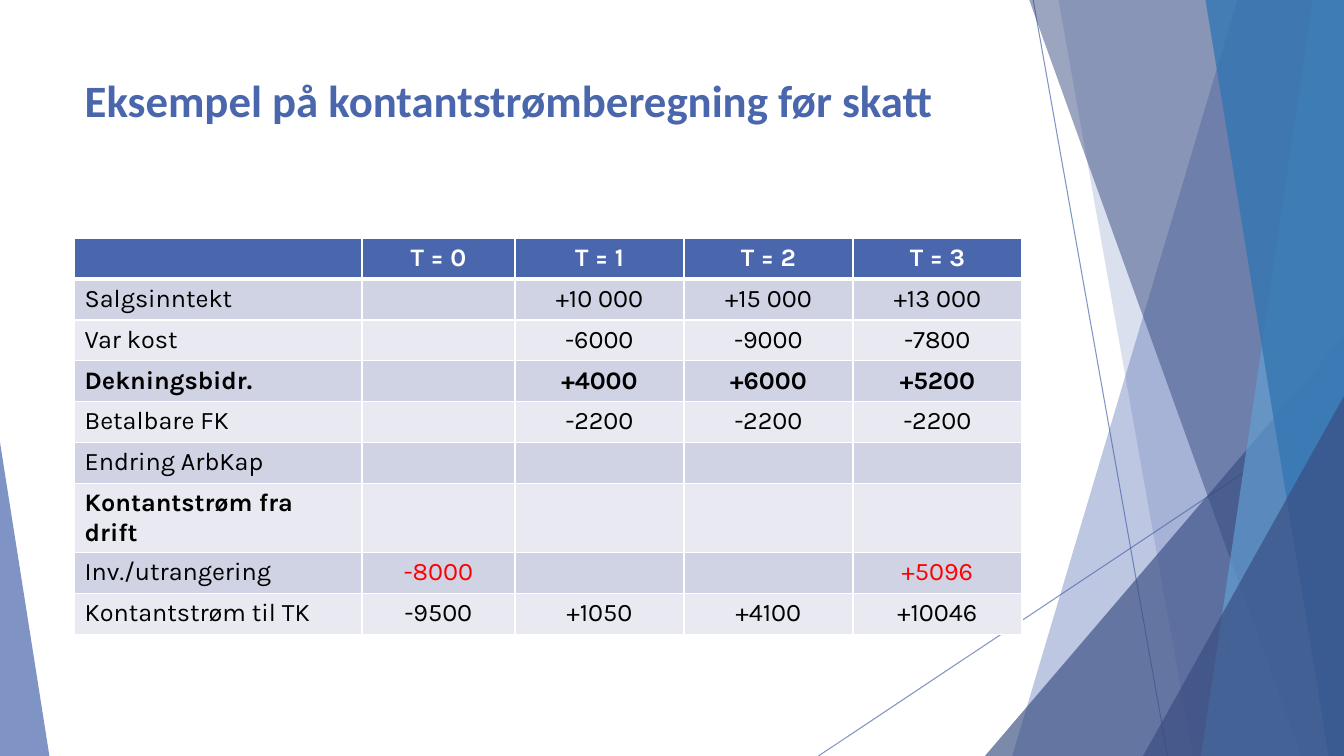
from pptx import Presentation
from pptx.dml.color import RGBColor
from pptx.enum.shapes import MSO_CONNECTOR, MSO_SHAPE
from pptx.enum.text import MSO_ANCHOR, MSO_AUTO_SIZE, PP_ALIGN
from pptx.oxml.ns import qn
from pptx.util import Pt
from lxml.etree import SubElement

WIDE, HIGH = 960, 540
HUES = {
    "blue": "4A66AC", "navy": "384C81", "sky": "629DD1", "teal": "3477B2",
    "dark": "D0D3E3", "pale": "E9EAF1", "white": "FFFFFF",
    "black": "000000", "red": "FF0000",
}
COLS = [205.3, 109.3, 120.7, 120.7, 120.7]
ROWS = [
    ["", "T = 0", "T = 1", "T = 2", "T = 3"],
    ["Salgsinntekt", "", "+10 000", "+15 000", "+13 000"],
    ["Var kost", "", "-6000", "-9000", "-7800"],
    ["Dekningsbidr.", "", "+4000", "+6000", "+5200"],
    ["Betalbare FK", "", "-2200", "-2200", "-2200"],
    ["Endring ArbKap", "", "", "", ""],
    ["Kontantstrøm fra drift", "", "", "", ""],
    ["Inv./utrangering", "-8000", "", "", "+5096"],
    ["Kontantstrøm til TK", "-9500", "+1050", "+4100", "+10046"],
]
BOLD = {0, 3, 6}
RED = {"-8000", "+5096"}


def write(frame, text, font="Karla", size=18, hue="black", bold=False, align=PP_ALIGN.LEFT):
    para = frame.paragraphs[0]
    para.alignment = align
    run = para.add_run()
    run.text = text
    run.font.name = font
    run.font.size = Pt(size)
    run.font.bold = bold
    run.font.color.rgb = RGBColor.from_string(HUES[hue])


class Deck:
    def __init__(self):
        self.file = Presentation()
        self.file.slide_width, self.file.slide_height = Pt(WIDE), Pt(HIGH)
        self.slide = self.file.slides.add_slide(self.file.slide_layouts[5])
        self.shapes = self.slide.shapes

    def paint(self, fill, hue, alpha):
        fill.solid()
        fill.fore_color.rgb = RGBColor.from_string(HUES[hue])
        for tint in fill.fore_color._xFill.iter(qn("a:srgbClr")):
            SubElement(tint, qn("a:alpha"), val=str(alpha * 1000))

    def finish(self, shape, hue, alpha):
        shape.shadow.inherit = False
        shape.line.fill.background()
        self.paint(shape.fill, hue, alpha)

    def line(self, *ends):
        line = self.shapes.add_connector(MSO_CONNECTOR.STRAIGHT, *map(Pt, ends))
        line.line.width = Pt(0.75)
        self.paint(line.line.fill, "blue", 70)
        SubElement(line.element.spPr, qn("a:effectLst"))

    def band(self, top, foot, hue, alpha):
        path = self.shapes.build_freeform(Pt(top), Pt(-0.6), scale=1.0)
        path.add_line_segments([(Pt(x), Pt(y)) for x, y in
                                [(WIDE, -0.6), (WIDE, HIGH), (foot, HIGH)]])
        self.finish(path.convert_to_shape(), hue, alpha)

    def wedge(self, left, wide, high, tip, hue, alpha):
        shape = self.shapes.add_shape(MSO_SHAPE.ISOSCELES_TRIANGLE, Pt(left), Pt(HIGH - high),
                                      Pt(wide), Pt(high))
        shape.adjustments[0] = tip
        self.finish(shape, hue, alpha)

    def title(self, text):
        head = self.shapes.title
        head.left, head.top, head.width, head.height = map(Pt, (53.3, 48, 676.8, 104))
        frame = head.text_frame
        frame.word_wrap = True
        frame.auto_size = MSO_AUTO_SIZE.NONE
        frame.vertical_anchor = MSO_ANCHOR.TOP
        write(frame, text, font="Calibri", size=32, hue="blue", bold=True)
        head.element.getparent().append(head.element)

    def edge(self, cell, side, width):
        line = SubElement(cell._tc.get_or_add_tcPr(), qn("a:ln" + side), w=str(Pt(width)))
        SubElement(SubElement(line, qn("a:solidFill")), qn("a:srgbClr"), val=HUES["white"])

    def table(self, rows, cols):
        grid = self.shapes.add_table(len(rows), len(cols), Pt(53.3), Pt(170.2),
                                     Pt(sum(cols)), Pt(29.2 * len(rows))).table
        for col, width in zip(grid.columns, cols):
            col.width = Pt(width)
        for i, row in enumerate(rows):
            grid.rows[i].height = Pt(29.2)
            for j, text in enumerate(row):
                cell = grid.cell(i, j)
                for side in "LRTB":
                    thick = (i, side) in [(0, "B"), (1, "T")]
                    self.edge(cell, side, 3 if thick else 1)
                cell.fill.solid()
                back = "blue" if i == 0 else "dark" if i % 2 else "pale"
                cell.fill.fore_color.rgb = RGBColor.from_string(HUES[back])
                if text:
                    hue = "white" if i == 0 else "red" if text in RED else "black"
                    write(cell.text_frame, text, hue=hue, bold=i in BOLD,
                          align=PP_ALIGN.CENTER if j else PP_ALIGN.LEFT)


def main():
    deck = Deck()
    deck.line(738, 0, 834, HIGH)
    deck.line(WIDE, 290, 584.6, HIGH)
    deck.band(884, 723, "blue", 36)
    deck.band(756, 852, "blue", 20)
    deck.wedge(703.5, 256.5, 300, 1, "navy", 66)
    deck.band(735, 929.5, "navy", 50)
    deck.band(938, 858, "sky", 70)
    deck.band(861, 949, "teal", 80)
    deck.wedge(816.5, 143.5, 257, 1, "navy", 66)
    deck.wedge(0, 35.3, 224, 0, "blue", 70)
    deck.title("Eksempel på kontantstrømberegning før skatt")
    deck.table(ROWS, COLS)
    deck.file.save("out.pptx")


if __name__ == "__main__":
    main()
